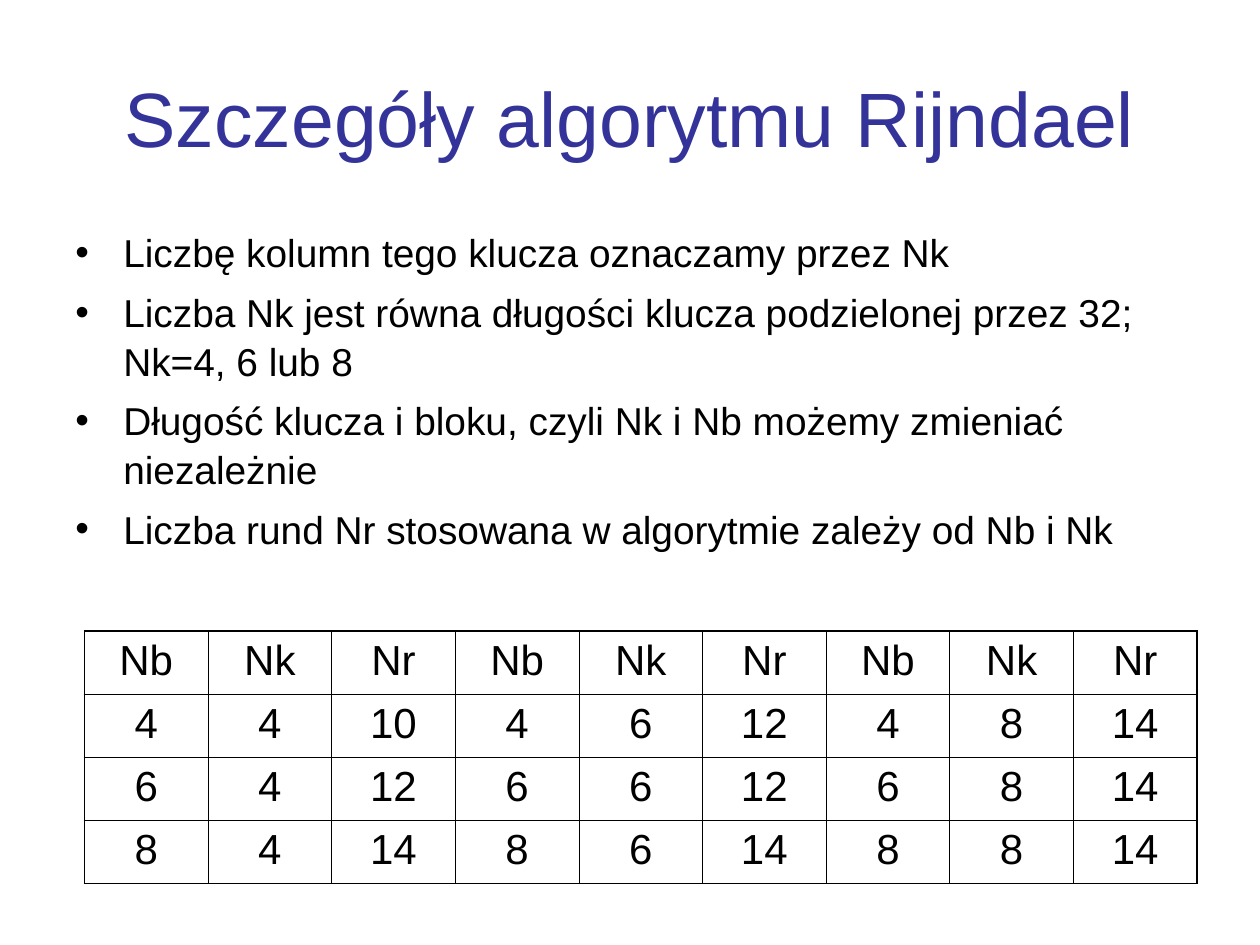
from lxml import etree
from pptx import Presentation
from pptx.dml.color import RGBColor
from pptx.enum import text as t
from pptx.oxml.ns import qn
from pptx.util import Inches, Pt

BLACK = RGBColor(0x00, 0x00, 0x00)
INDIGO = RGBColor(0x33, 0x33, 0x99)
THIN, THICK = Pt(0.45), Pt(1.08)

presentation = Presentation()
presentation.slide_width, presentation.slide_height = Inches(10), Inches(7.5)
slide = presentation.slides.add_slide(presentation.slide_layouts[6])


def write(paragraph, wording, size, color, **formats):
    run = paragraph.add_run()
    run.text = wording
    run.font.name, run.font.size, run.font.color.rgb = "Arial", Pt(size), color
    for name, value in formats.items():
        setattr(paragraph, name, value)


def set_border(cell, side, width):
    properties = cell._tc.get_or_add_tcPr()
    line = etree.SubElement(properties, qn(f"a:ln{side}"), w=str(width))
    fill = etree.SubElement(line, qn("a:solidFill"))
    etree.SubElement(fill, qn("a:srgbClr"), val=str(BLACK))


# Title
title = slide.shapes.add_textbox(Inches(0.5), Inches(0.3), Inches(9), Inches(1.25))
title.text_frame.word_wrap = True
title.text_frame.vertical_anchor = t.MSO_ANCHOR.MIDDLE
write(title.text_frame.paragraphs[0], "Szczegóły algorytmu Rijndael", 44, INDIGO,
      alignment=t.PP_ALIGN.CENTER)

# Bulleted text
points = [
    "Liczbę kolumn tego klucza oznaczamy przez Nk",
    "Liczba Nk jest równa długości klucza podzielonej przez 32; Nk=4, 6 lub 8",
    "Długość klucza i bloku, czyli Nk i Nb możemy zmieniać niezależnie",
    "Liczba rund Nr stosowana w algorytmie zależy od Nb i Nk",
]
body = slide.shapes.add_textbox(Inches(0.5), Inches(1.75), Inches(8.91), Inches(2.87))
frame = body.text_frame
frame.word_wrap = True
for index, point in enumerate(points):
    paragraph = frame.add_paragraph() if index else frame.paragraphs[0]
    write(paragraph, point, 22.2, BLACK, space_before=Pt(6), line_spacing=1.05)
    properties = paragraph._p.get_or_add_pPr()
    properties.set("marL", str(Inches(0.38)))
    properties.set("indent", str(-Inches(0.38)))
    etree.SubElement(properties, qn("a:buFont"), typeface="Arial")
    etree.SubElement(properties, qn("a:buChar"), char="•")

# Table of round counts
rows = [
    ["Nb", "Nk", "Nr"] * 3,
    [4, 4, 10, 4, 6, 12, 4, 8, 14],
    [6, 4, 12, 6, 6, 12, 6, 8, 14],
    [8, 4, 14, 8, 6, 14, 8, 8, 14],
]
last_row, last_column = len(rows) - 1, len(rows[0]) - 1
table = slide.shapes.add_table(len(rows), len(rows[0]), Inches(0.67), Inches(5.01),
                               Inches(8.83), Inches(2)).table
table.first_row = table.horz_banding = False
for row, values in enumerate(rows):
    for column, value in enumerate(values):
        cell = table.cell(row, column)
        write(cell.text_frame.paragraphs[0], str(value), 24, BLACK,
              alignment=t.PP_ALIGN.CENTER, space_before=Pt(6))
        outer_sides = {"L": column == 0, "R": column == last_column,
                       "T": row == 0, "B": row == last_row}
        for side, is_outer in outer_sides.items():
            set_border(cell, side, THICK if is_outer else THIN)
        cell.fill.background()

presentation.save("out.pptx")
